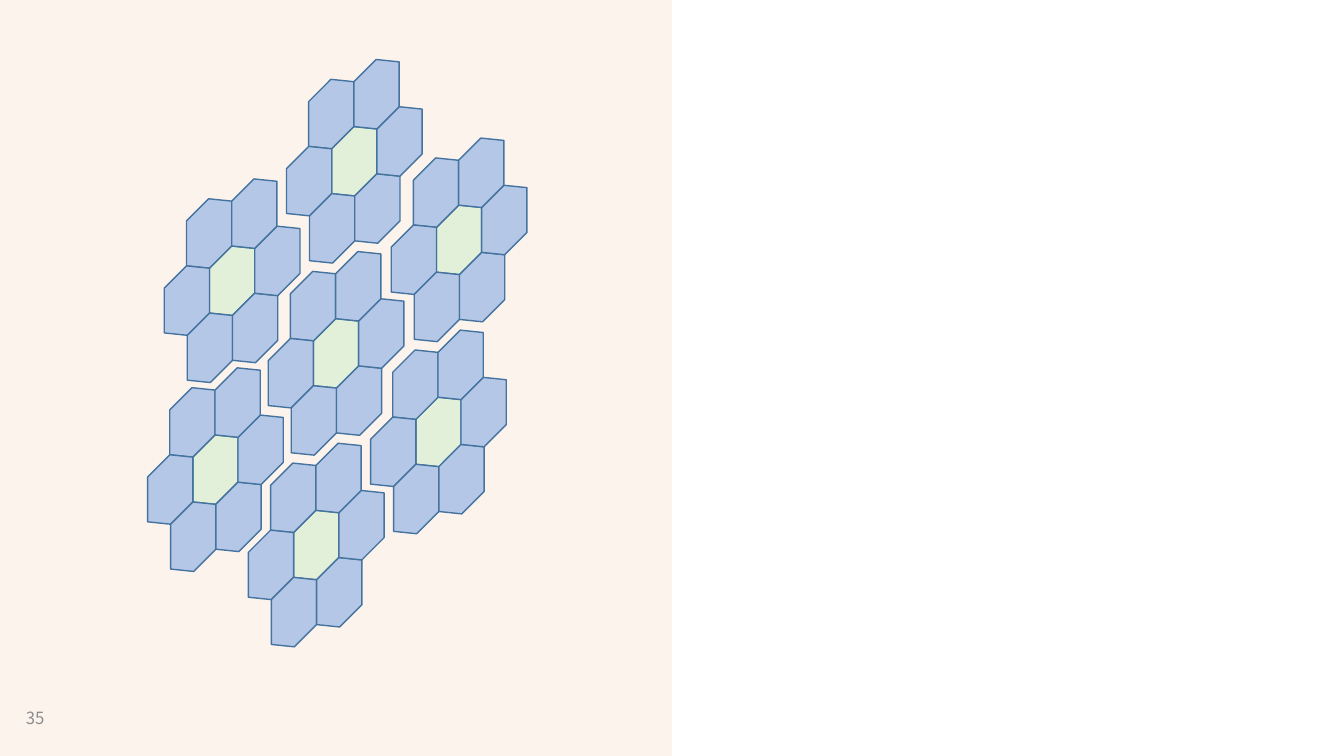
import pptx
import pptx.dml.color
import pptx.enum.shapes
import pptx.enum.text
import pptx.oxml.ns
import pptx.oxml.xmlchemy
import pptx.util
from pptx.util import Cm

COLORS = {
    "panel": "F4B183",
    "divider": "FBE5D6",
    "number": "8C8C8C",
    "petal": "B4C7E7",
    "heart": "E2F0D9",
    "outline": "43739E",
}
FONT = "Noto Sans CJK SC"
WIDTH, HEIGHT = 33.87, 19.05
PANEL_WIDTH = 16.93

# Edge vectors of one hexagon, in cm; opposite edges are parallel.
UP, RISE, DROP = (0, -1.13), (0.56, -0.56), (0.58, 0.06)

# Lower left corner of each flower's middle hexagon, in cm.
FLOWERS = [
    (7.9, 9.72), (11.0, 6.86), (10.48, 11.7), (7.4, 14.55),
    (4.86, 12.65), (5.28, 7.89), (8.36, 4.88),
]


def add(a, b):
    return a[0] + b[0], a[1] + b[1]


def minus(a):
    return -a[0], -a[1]


def hexagon(corner):
    """Return the six corners, clockwise from the lower left one."""
    points = [corner]
    for edge in (UP, RISE, DROP, minus(UP), minus(RISE)):
        points.append(add(points[-1], edge))
    return points


class Deck:
    """Holds the style and the current slide."""

    def __init__(self, prs):
        self.s = prs.slides.add_slide(prs.slide_layouts[6])

    def paint(self, fmt, color, alpha=None):
        """Give a fill a solid colour, with an opacity in percent."""
        fmt.solid()
        fmt.fore_color.rgb = pptx.dml.color.RGBColor.from_string(COLORS[color])
        if alpha is not None:
            clr = fmt._xPr.find(".//" + pptx.oxml.ns.qn("a:srgbClr"))
            node = pptx.oxml.xmlchemy.OxmlElement("a:alpha")
            node.set("val", str(alpha * 1000))
            clr.append(node)

    def rect(self, x, y, w, h, color, alpha):
        sp = self.s.shapes.add_shape(
            pptx.enum.shapes.MSO_SHAPE.RECTANGLE, Cm(x), Cm(y), Cm(w), Cm(h))
        sp.shadow.inherit = False
        self.paint(sp.fill, color, alpha)
        sp.line.fill.background()

    def line(self, x1, y1, x2, y2, color, width, alpha):
        sp = self.s.shapes.add_connector(
            pptx.enum.shapes.MSO_CONNECTOR.STRAIGHT, Cm(x1), Cm(y1), Cm(x2), Cm(y2))
        sp.line.width = pptx.util.Pt(width)
        self.paint(sp.line.fill, color, alpha)
        sp._element.spPr.append(pptx.oxml.xmlchemy.OxmlElement("a:effectLst"))

    def text(self, x, y, w, h, words, size, color):
        tf = self.s.shapes.add_textbox(Cm(x), Cm(y), Cm(w), Cm(h)).text_frame
        tf.word_wrap = True
        tf.vertical_anchor = pptx.enum.text.MSO_ANCHOR.MIDDLE
        r = tf.paragraphs[0].add_run()
        r.text = words
        r.font.size = pptx.util.Pt(size)
        r.font.name = FONT
        self.paint(r.font.fill, color)

    def polygon(self, shapes, points, color):
        start, *rest = [(Cm(x), Cm(y)) for x, y in points]
        builder = shapes.build_freeform(*start)
        builder.add_line_segments(rest, close=True)
        sp = builder.convert_to_shape()
        sp.shadow.inherit = False
        self.paint(sp.fill, color)
        self.paint(sp.line.fill, "outline")
        sp.line.width = pptx.util.Pt(1)

    def flower(self, corner):
        """Group a middle hexagon with its six neighbours."""
        shapes = self.s.shapes.add_group_shape().shapes
        self.polygon(shapes, hexagon(corner), "heart")
        half = [add(UP, minus(DROP)), minus(add(RISE, DROP)), minus(add(UP, RISE))]
        for step in half + [minus(v) for v in half]:
            self.polygon(shapes, hexagon(add(corner, step)), "petal")


def main():
    prs = pptx.Presentation()
    prs.slide_width, prs.slide_height = Cm(WIDTH), Cm(HEIGHT)
    deck = Deck(prs)
    deck.rect(0, 0, PANEL_WIDTH, HEIGHT, "panel", 14)
    deck.line(PANEL_WIDTH, HEIGHT, PANEL_WIDTH, 0, "divider", 0.25, 50)
    deck.text(0.4, 17.6, 1.7, 1, "35", 12, "number")
    for corner in FLOWERS:
        deck.flower(corner)
    prs.save("out.pptx")


if __name__ == "__main__":
    main()
